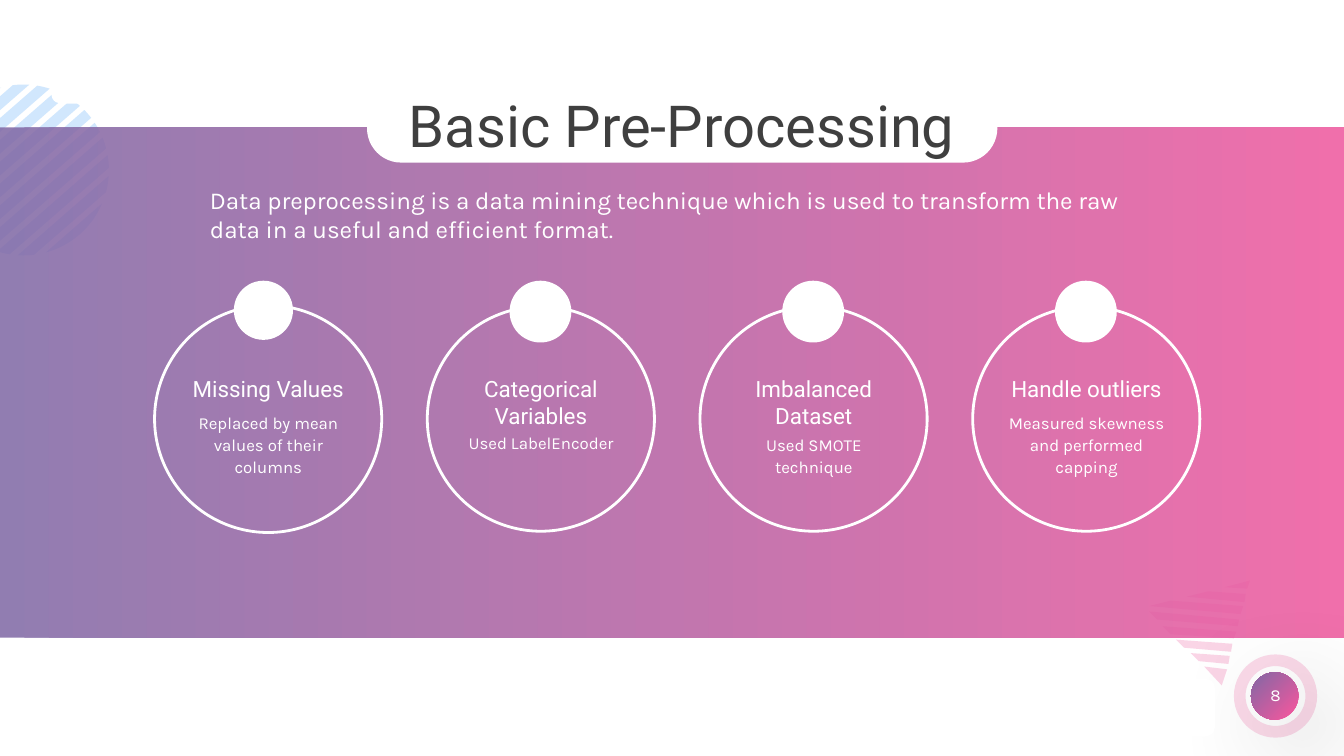
from math import acos, cos, radians, sin

from lxml import etree
from pptx import Presentation
from pptx.dml.color import RGBColor as RGB
from pptx.enum.shapes import MSO_SHAPE as SHAPE
from pptx.enum.text import MSO_ANCHOR as ANCHOR, PP_ALIGN as ALIGN
from pptx.oxml import parse_xml
from pptx.oxml.ns import nsdecls, qn
from pptx.util import Pt

C = {"white": "FFFFFF", "ink": "3F3F3F", "purple": "8068A5",
     "pink": "EE589E", "blue": "48A1FA", "black": "000000"}
TITLE = {"name": "Roboto", "size": Pt(31)}
INTRO = {"name": "Karla", "size": Pt(13)}
HEAD = {"name": "Roboto", "size": Pt(12)}
BODY = {"name": "Karla", "size": Pt(9)}

prs = Presentation()
prs.slide_width, prs.slide_height = Pt(720), Pt(405)
s = prs.slides.add_slide(prs.slide_layouts[6])


def paint(sp, fill=None, alpha=100, line=None):
    sp.shadow.inherit = False
    if fill:
        sp.fill.solid()
        sp.fill.fore_color.rgb = RGB.from_string(C[fill])
        if alpha < 100:
            clr = sp._element.spPr.find(".//" + qn("a:srgbClr"))
            etree.SubElement(clr, qn("a:alpha")).set("val", str(alpha * 1000))
    else:
        sp.fill.background()
    if line:
        sp.line.color.rgb = RGB.from_string(C[line])
        sp.line.width = Pt(1.5)
    else:
        sp.line.fill.background()
    return sp


def write(text, box, font, color="white", align=ALIGN.CENTER, spacing=None):
    tf = s.shapes.add_textbox(*map(Pt, box)).text_frame
    frame = {"word_wrap": True, "vertical_anchor": ANCHOR.TOP,
             "margin_left": Pt(5.2), "margin_right": Pt(5.2),
             "margin_top": Pt(2.6), "margin_bottom": Pt(2.6)}
    for key, value in frame.items():
        setattr(tf, key, value)
    p = tf.paragraphs[0]
    p.alignment = align
    if spacing:
        p.line_spacing = spacing
    r = p.add_run()
    r.text = text
    for key, value in font.items():
        setattr(r.font, key, value)
    r.font.color.rgb = RGB.from_string(C[color])


# Striped triangle, bottom right
triangle = [
    [(657.4, 358.6), (654.5, 367.2), (645.1, 357.1)],
    [(658.8, 351.4), (658.1, 355.7), (642.2, 354.2), (637.9, 349.9)],
    [(660.2, 344.9), (659.5, 349.2), (634.3, 347), (630, 342.7)],
    [(662.4, 338.4), (661, 342), (627.1, 339.8), (622.8, 335.5)],
    [(663.8, 331.9), (663.1, 335.5), (619.9, 331.9), (615.6, 327.6)],
    [(666, 324.7), (664.6, 329), (615.6, 324.7), (627.1, 321.8)],
    [(667.4, 318.2), (666.7, 322.6), (635.8, 319.7), (647.3, 316.8)],
    [(669.6, 311), (668.2, 315.4), (655.9, 314.6)],
]

# Striped disc, top left: equal diagonal bands cut by a circle
cx, cy, radius = 12.6, 91.1, 45.8
pitch, half, tilt, steps = 8.8, 2.8, radians(48.9), 6
disc = []
for k in range(-5, 6):
    near, far = [acos(max(-1, min(1, (k * pitch + d) / radius)))
                 for d in (-half, half)]
    arc = [near + (far - near) * i / steps for i in range(steps + 1)]
    angles = [tilt + a for a in arc] + [tilt - a for a in reversed(arc)]
    disc.append([(cx + radius * cos(a), cy + radius * sin(a)) for a in angles])

for bands, color in ((triangle, "pink"), (disc, "blue")):
    builder = None
    for band in bands:
        points = [(x * 100, y * 100) for x, y in band]
        if builder is None:
            builder = s.shapes.build_freeform(*points[0], scale=127)
        else:
            builder.move_to(*points[0])
        builder.add_line_segments(points[1:], close=True)
    paint(builder.convert_to_shape(), color, 25)

# Page badge ring
ring = paint(s.shapes.add_shape(SHAPE.DONUT, Pt(661), Pt(350.6), Pt(44.6), Pt(44.6)), "pink", 22)
ring.adjustments[0] = 0.14

# Gradient band and badge disc
gradients = [
    (SHAPE.RECTANGLE, (0, 68.2, 720, 273.4), 85, 100, '<a:lin ang="0" scaled="0"/>'),
    (SHAPE.OVAL, (670.2, 360.2, 25.4, 25.4), 100, 89,
     '<a:path path="circle"><a:fillToRect r="100000" b="100000"/></a:path>'),
]
for kind, box, alpha, end, direction in gradients:
    sp = paint(s.shapes.add_shape(kind, *map(Pt, box)))
    sp.fill.gradient()
    stops = "".join(
        f'<a:gs pos="{pos * 1000}"><a:srgbClr val="{C[color]}">'
        f'<a:alpha val="{alpha * 1000}"/></a:srgbClr></a:gs>'
        for pos, color in ((0, "purple"), (end, "pink")))
    spPr = sp._element.spPr
    spPr.replace(spPr.find(qn("a:gradFill")), parse_xml(
        f'<a:gradFill {nsdecls("a")} rotWithShape="1"><a:gsLst>{stops}</a:gsLst>{direction}</a:gradFill>'))

# Soft shadow under the badge, then its number
spPr.find(qn("a:effectLst")).append(parse_xml(
    f'<a:outerShdw {nsdecls("a")} blurRad="{Pt(59)}" dist="{Pt(21)}" dir="2700000" algn="tl">'
    f'<a:srgbClr val="{C["black"]}"><a:alpha val="40000"/></a:srgbClr></a:outerShdw>'))
write("8", (665.3, 364.3, 36, 16.6), BODY)

# White plates
plates = [((196.6, 50.4, 337.7, 36.7), 0.5), ((27.4, 24.5, 79.9, 31), 0.17),
          ((549.4, 363.6, 101.5, 31), 0.17)]
for box, corner in plates:
    sp = paint(s.shapes.add_shape(SHAPE.ROUNDED_RECTANGLE, *map(Pt, box)), "white")
    sp.adjustments[0] = corner

# Title and introduction
write("Basic Pre-Processing", (131.8, 45.4, 466.6, 41.8), TITLE, "ink")
write("Data preprocessing is a data mining technique which is used to transform "
      "the raw data in a useful and efficient format.",
      (107.3, 96.5, 517.7, 36.7), INTRO, align=ALIGN.LEFT)

# Four steps: heading, text, text top, ring top and height, dot offset and size
steps_data = [
    ("Missing Values", "Replaced by mean values of their columns", 217.4, 163.6, 121.7, 42.5, 31.7),
    ("Categorical Variables", "Used LabelEncoder", 228.4, 164.2, 120.4, 44.1, 33.1),
    ("Imbalanced Dataset", "Used SMOTE technique", 229, 164.2, 120.4, 44.1, 33.1),
    ("Handle outliers", "Measured skewness and performed capping", 217.4, 164.2, 120.4, 44.1, 33.1),
]
for i, (head, body, body_top, top, height, dot_x, dot) in enumerate(steps_data):
    left = 82.8 + 146.1 * i
    paint(s.shapes.add_shape(SHAPE.OVAL, Pt(left), Pt(top), Pt(121.7), Pt(height)), line="white")
    paint(s.shapes.add_shape(SHAPE.OVAL, Pt(left + dot_x), Pt(150.4), Pt(dot), Pt(dot)), "white")
    write(head, (left + 8.4, 198.5, 105.1, 20.9), HEAD)
    write(body, (left + 8.4, body_top, 105.1, 42), BODY, spacing=1.1)

prs.save("out.pptx")
